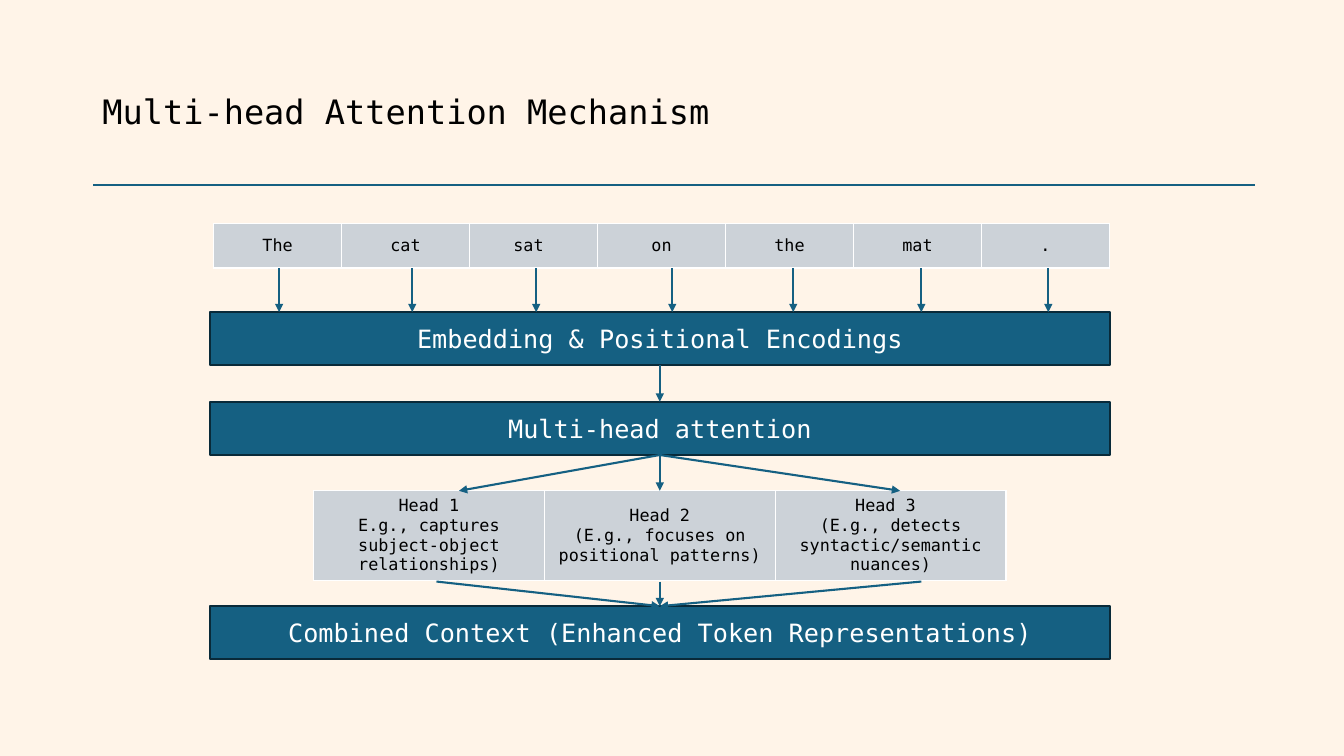
from pptx import Presentation
from pptx import util as u
from pptx.dml import color
from pptx.enum import shapes, text
from pptx.oxml import ns, parse_xml

Pt = u.Pt
NS = ns.nsdecls("a")


def rgb(code):
    return color.RGBColor.from_string(code)


class Deck:
    font = "DejaVu Sans Mono"
    paper, ink, white = "FFF4E8", "000000", "FFFFFF"
    blue, edge, grey = "156082", "092A39", "CCD2D8"

    def __init__(self):
        self.prs = Presentation()
        self.prs.slide_width, self.prs.slide_height = Pt(960), Pt(540)
        self.slide = self.prs.slides.add_slide(self.prs.slide_layouts[5])
        self.slide.background.fill.solid()
        self.slide.background.fill.fore_color.rgb = rgb(self.paper)

    def label(self, frame, words, size, ink, align=text.PP_ALIGN.CENTER):
        frame.text = words
        for par in frame.paragraphs:
            par.alignment = align
            for run in par.runs:
                run.font.name, run.font.size = self.font, Pt(size)
                run.font.color.rgb = rgb(ink)

    def title(self, words, x, y, w, h):
        box = self.slide.shapes.title
        box.left, box.top, box.width, box.height = map(Pt, (x, y, w, h))
        frame = box.text_frame
        frame.auto_size = text.MSO_AUTO_SIZE.NONE
        frame.vertical_anchor = text.MSO_ANCHOR.MIDDLE
        self.label(frame, words, 24, self.ink, text.PP_ALIGN.LEFT)
        frame.paragraphs[0].line_spacing = 0.9

    def bar(self, words, x, y, w, h):
        box = self.slide.shapes.add_shape(
            shapes.MSO_SHAPE.RECTANGLE, *map(Pt, (x, y, w, h)))
        box.shadow.inherit = False
        box.fill.solid()
        box.fill.fore_color.rgb = rgb(self.blue)
        box.line.color.rgb, box.line.width = rgb(self.edge), Pt(1.5)
        box.text_frame.vertical_anchor = text.MSO_ANCHOR.MIDDLE
        self.label(box.text_frame, words, 18, self.white)
        return box

    def row(self, items, x, y, w, h):
        """Draw a table of one row with white borders."""
        table = self.slide.shapes.add_table(
            1, len(items), *map(Pt, (x, y, w, h))).table
        table.first_row = table.horz_banding = False
        for cell, words in zip(table.iter_cells(), items):
            for side in "LRTB":
                cell._tc.get_or_add_tcPr().append(parse_xml(
                    f'<a:ln{side} {NS} w="12700"><a:solidFill>'
                    f'<a:srgbClr val="{self.white}"/></a:solidFill></a:ln{side}>'))
            cell.fill.solid()
            cell.fill.fore_color.rgb = rgb(self.grey)
            cell.vertical_anchor = text.MSO_ANCHOR.MIDDLE
            self.label(cell.text_frame, words, 12, self.ink)

    def line(self, x1, y1, x2, y2, head=True, start=None, end=None):
        """Draw a line, joined to the bottom of start and the top of end."""
        link = self.slide.shapes.add_connector(
            shapes.MSO_CONNECTOR.STRAIGHT, *map(Pt, (x1, y1, x2, y2)))
        link.line.color.rgb, link.line.width = rgb(self.blue), Pt(1.5)
        props = link._element.spPr
        if head:
            props.find(ns.qn("a:ln")).append(
                parse_xml(f'<a:tailEnd {NS} type="triangle"/>'))
        props.append(parse_xml(f"<a:effectLst {NS}/>"))
        if start:
            link.begin_connect(start, 2)
        if end:
            link.end_connect(end, 0)


def main():
    deck = Deck()
    deck.title("Multi-head Attention Mechanism", 66, 28.8, 828, 104.4)
    deck.line(66.6, 132.3, 896.4, 132.3, head=False)

    left, wide, high = 149.8, 643, 38
    mid = left + wide / 2
    tops = 223, 287, 433
    names = ("Embedding & Positional Encodings", "Multi-head attention",
             "Combined Context (Enhanced Token Representations)")

    deck.row(["The", "cat", "sat ", "on", "the", "mat", "."],
             152.6, 159.8, 640, 31.7)
    embed, multi, joint = [deck.bar(name, left, top, wide, high)
                           for name, top in zip(names, tops)]
    deck.row(["Head 1\nE.g., captures subject-object relationships)",
              "Head 2\n(E.g., focuses on positional patterns) ",
              "Head 3 \n(E.g., detects syntactic/semantic nuances)"],
             224, 350.6, 494.6, 64)

    for x in (199.4, 294.5, 383, 480.2, 566.6, 658.1, 748.8):
        deck.line(x, 191.5, x, tops[0])
    deck.line(mid, tops[0] + high, mid, tops[1], start=embed, end=multi)
    for x in (327.8, 643, mid):
        deck.line(mid, tops[1] + high, x, 350.6, start=multi)
    for x in (311.8, 658.1, mid):
        deck.line(x, 415.4, mid, tops[2], end=joint)
    deck.prs.save("out.pptx")


if __name__ == "__main__":
    main()
